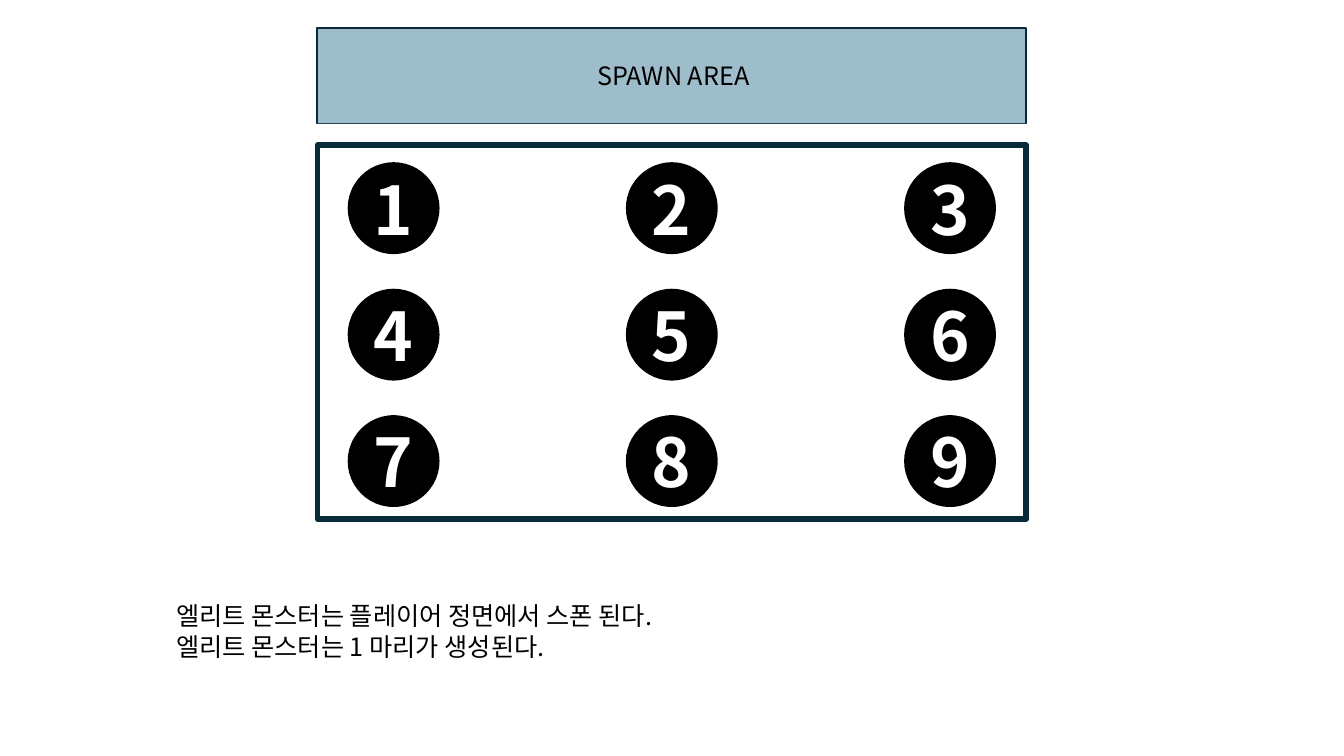
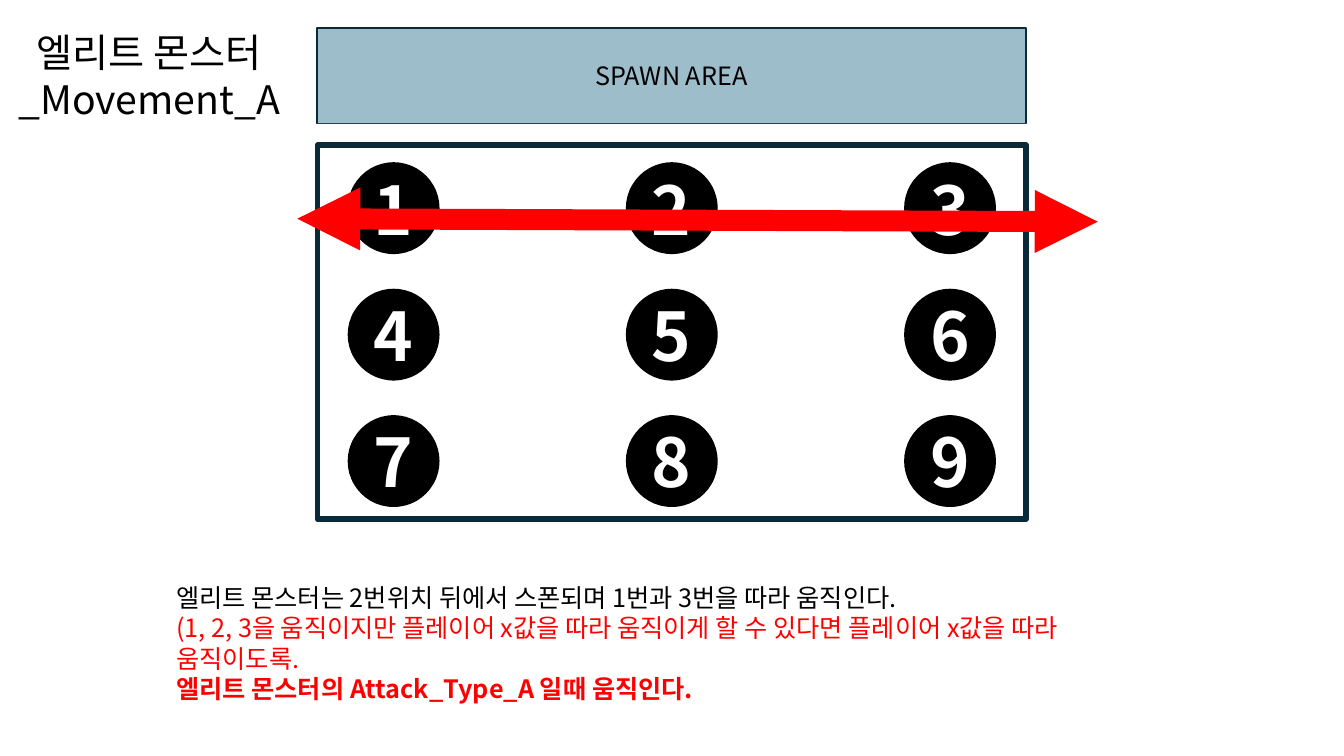
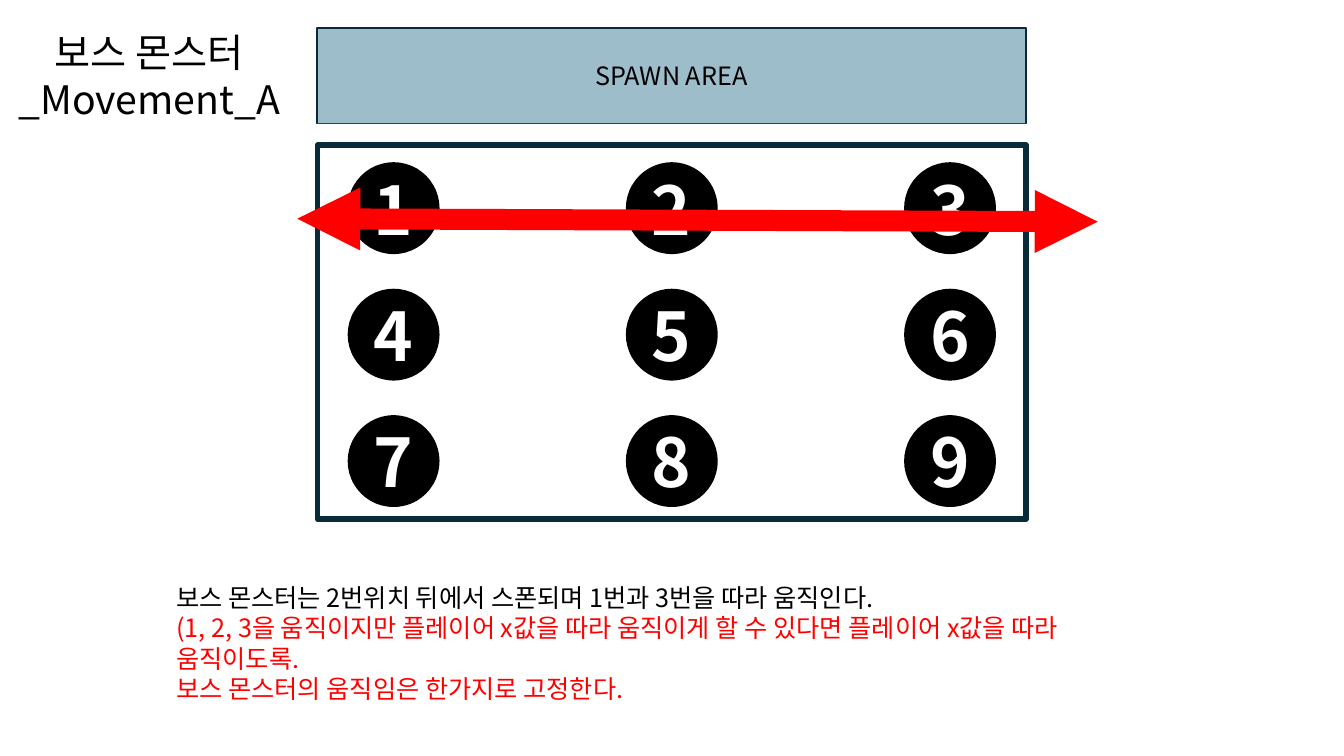
from dataclasses import dataclass

from lxml import etree
from pptx import Presentation
from pptx import util as u
from pptx.dml.color import RGBColor
from pptx.enum import shapes, text
from pptx.oxml import ns


@dataclass(frozen=True)
class Theme:
    font: str = "Noto Sans CJK KR"
    black: RGBColor = RGBColor(0x00, 0x00, 0x00)
    white: RGBColor = RGBColor(0xFF, 0xFF, 0xFF)
    red: RGBColor = RGBColor(0xFF, 0x00, 0x00)
    teal: RGBColor = RGBColor(0x15, 0x60, 0x82)
    navy: RGBColor = RGBColor(0x09, 0x2A, 0x39)
    teal_opacity: int = 41
    body: int = 18
    title: int = 28
    number: int = 48
    thin: float = 1.5
    frame: float = 4
    arrow: float = 15


theme = Theme()
prs = Presentation()
prs.slide_width, prs.slide_height = u.Inches(13.333), u.Inches(7.5)


def area(left, top, width, height):
    """Turn percentages of the slide into left, top, width and height."""
    across, down = prs.slide_width / 100, prs.slide_height / 100
    return [round(v) for v in (left * across, top * down, width * across, height * down)]


def write(box, lines, size, align=text.PP_ALIGN.LEFT, grow=True):
    """Fill a box with one paragraph per (words, colour, bold) line."""
    frame = box.text_frame
    frame.word_wrap = True
    if grow:
        frame.auto_size = text.MSO_AUTO_SIZE.SHAPE_TO_FIT_TEXT
    for i, (words, colour, bold) in enumerate(lines):
        paragraph = frame.add_paragraph() if i else frame.paragraphs[0]
        paragraph.alignment = align
        run = paragraph.add_run()
        run.text = words
        run.font.name = theme.font
        run.font.size = u.Pt(size)
        run.font.bold = bold
        run.font.color.rgb = colour
        east_asian = etree.SubElement(run._r.get_or_add_rPr(), ns.qn("a:ea"))
        east_asian.set("typeface", theme.font)


CENTER = text.PP_ALIGN.CENTER
FIELD_LEFT, FIELD_WIDTH = 23.62, 52.73
FIRST_LEFT, FIRST_TOP = 25.95, 21.6
COLUMN_STEP, ROW_STEP = 20.7, 16.73
SPOT_WIDTH, SPOT_HEIGHT = 6.68, 11.87

follow_player = (
    "(1, 2, 3을 움직이지만 플레이어 x값을 따라 움직이게 할 수 있다면 플레이어 x값을 따라 움직이도록.",
    theme.red, False)
scenes = [
    (None, 40.95, 78.8, 9.47, [
        ("엘리트 몬스터는 플레이어 정면에서 스폰 된다.", theme.black, False),
        ("엘리트 몬스터는 1 마리가 생성된다.", theme.black, False),
    ]),
    ("엘리트 몬스터_Movement_A", 40.8, 76.4, 17.47, [
        ("엘리트 몬스터는 2번위치 뒤에서 스폰되며 1번과 3번을 따라 움직인다.", theme.black, False),
        follow_player,
        ("엘리트 몬스터의 Attack_Type_A 일때 움직인다.", theme.red, True),
    ]),
    ("보스 몬스터_Movement_A", 40.8, 76.4, 17.47, [
        ("보스 몬스터는 2번위치 뒤에서 스폰되며 1번과 3번을 따라 움직인다.", theme.black, False),
        follow_player,
        ("보스 몬스터의 움직임은 한가지로 고정한다.", theme.red, False),
    ]),
]

for title, label_left, rules_top, rules_height, rules in scenes:
    slide = prs.slides.add_slide(prs.slide_layouts[6])

    spawn_area = slide.shapes.add_shape(
        shapes.MSO_SHAPE.RECTANGLE, *area(FIELD_LEFT, 3.73, FIELD_WIDTH, 12.67))
    spawn_area.shadow.inherit = False
    spawn_area.fill.solid()
    spawn_area.fill.fore_color.rgb = theme.teal
    tint = spawn_area.fill._xPr.find(".//" + ns.qn("a:srgbClr"))
    etree.SubElement(tint, ns.qn("a:alpha")).set("val", str(theme.teal_opacity * 1000))
    spawn_area.line.color.rgb = theme.navy
    spawn_area.line.width = u.Pt(theme.thin)

    spawn_label = slide.shapes.add_textbox(*area(label_left, 7.33, 18.3, 5.33))
    write(spawn_label, [("SPAWN AREA", theme.black, False)], theme.body, CENTER)

    backdrop = slide.shapes.add_shape(
        shapes.MSO_SHAPE.RECTANGLE, *area(21.22, 16.4, 57.6, 55.07))
    backdrop.shadow.inherit = False
    backdrop.fill.solid()
    backdrop.fill.fore_color.rgb = theme.white
    backdrop.line.fill.background()

    field = slide.shapes.add_group_shape()
    border = field.shapes.add_shape(
        shapes.MSO_SHAPE.RECTANGLE, *area(FIELD_LEFT, 19.2, FIELD_WIDTH, 49.47))
    border.shadow.inherit = False
    border.fill.background()
    border.line.color.rgb = theme.navy
    border.line.width = u.Pt(theme.frame)

    for i in range(9):
        row, column = divmod(i, 3)
        spot = field.shapes.add_shape(shapes.MSO_SHAPE.OVAL, *area(
            FIRST_LEFT + column * COLUMN_STEP, FIRST_TOP + row * ROW_STEP,
            SPOT_WIDTH, SPOT_HEIGHT))
        spot.shadow.inherit = False
        spot.fill.solid()
        spot.fill.fore_color.rgb = theme.black
        spot.line.color.rgb = theme.black
        spot.line.width = u.Pt(theme.thin)
        write(spot, [(str(i + 1), theme.white, True)], theme.number, CENTER, grow=False)

    rules_box = slide.shapes.add_textbox(*area(12.38, rules_top, 75.3, rules_height))
    write(rules_box, rules, theme.body)

    if title:
        left, top, width, height = area(22.12, 28.93, 59.56, 0.4)
        route = slide.shapes.add_connector(
            shapes.MSO_CONNECTOR.STRAIGHT, left, top, left + width, top + height)
        route.line.color.rgb = theme.red
        route.line.width = u.Pt(theme.arrow)
        for end in ("a:headEnd", "a:tailEnd"):
            etree.SubElement(route.line._ln, ns.qn(end)).set("type", "triangle")
        etree.SubElement(route._element.spPr, ns.qn("a:effectLst"))

        title_box = slide.shapes.add_textbox(*area(-2.55, 3.07, 27.3, 13.87))
        write(title_box, [(title, theme.black, False)], theme.title, CENTER)

prs.save("out.pptx")
